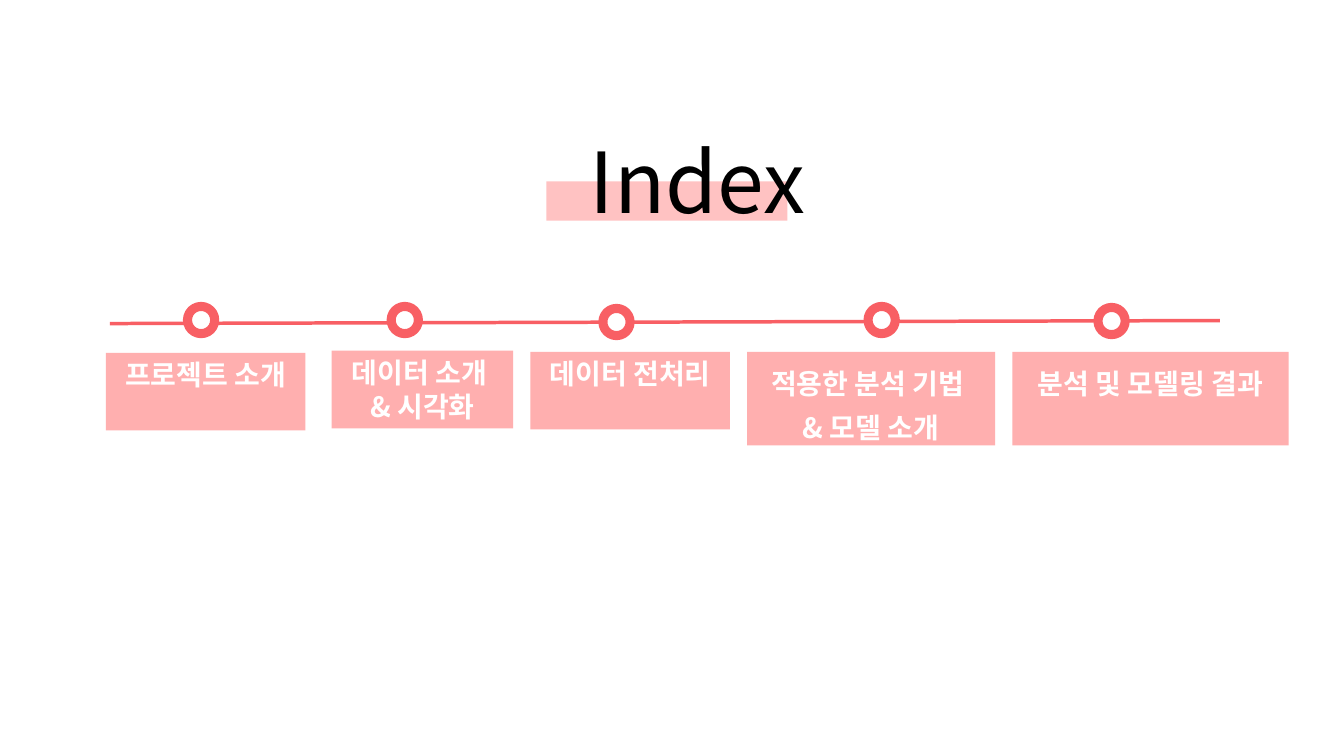
"""Build the index slide: a highlighted title above a five-stop timeline."""
from dataclasses import dataclass

import lxml.etree
import pptx
import pptx.dml.color
import pptx.enum.shapes
import pptx.enum.text
import pptx.oxml.ns
import pptx.util
from pptx.util import Inches


@dataclass(frozen=True)
class Theme:
    font: str = "Noto Sans CJK KR"
    black: str = "000000"
    white: str = "FFFFFF"
    highlight: str = "FF0000"
    accent: str = "F85F64"
    label: str = "FFAFAF"
    title_size: int = 60
    label_size: int = 20


theme = Theme()
qualified = pptx.oxml.ns.qn
rgb = pptx.dml.color.RGBColor.from_string
kinds = pptx.enum.shapes.MSO_SHAPE
alignments = pptx.enum.text.PP_ALIGN


def add_solid(kind, left, top, width, height, color):
    shape = slide.shapes.add_shape(kind, Inches(left), Inches(top), Inches(width), Inches(height))
    shape.shadow.inherit = False
    shape.fill.solid()
    shape.fill.fore_color.rgb = rgb(color)
    shape.line.fill.background()
    return shape


def write_text(shape, lines, size, color, bold=False, align=alignments.CENTER, spacing=1.0):
    frame = shape.text_frame
    frame.word_wrap = False
    frame.auto_size = pptx.enum.text.MSO_AUTO_SIZE.NONE
    frame.vertical_anchor = pptx.enum.text.MSO_ANCHOR.TOP
    for index, line in enumerate(lines):
        paragraph = frame.add_paragraph() if index else frame.paragraphs[0]
        paragraph.alignment = align
        paragraph.line_spacing = spacing
        paragraph.space_before = pptx.util.Pt(0)
        run = paragraph.add_run()
        run.text = line
        run.font.name = theme.font
        run.font.size = pptx.util.Pt(size)
        run.font.bold = bold
        run.font.color.rgb = rgb(color)
        east_asian = lxml.etree.SubElement(run.font._element, qualified("a:ea"))
        east_asian.set("typeface", theme.font)


presentation = pptx.Presentation()
presentation.slide_width = Inches(13.33)
presentation.slide_height = Inches(7.5)
slide = presentation.slides.add_slide(presentation.slide_layouts[5])

title = slide.shapes.title
title.left, title.top = Inches(5.75), Inches(1.23)
title.width, title.height = Inches(2.69), Inches(1.11)
write_text(title, ["Index"], theme.title_size, theme.black, align=alignments.LEFT)

highlight = add_solid(kinds.RECTANGLE, 5.42, 1.8, 2.39, 0.39, theme.highlight)
highlight_color = highlight.fill._xPr.find(".//" + qualified("a:srgbClr"))
lxml.etree.SubElement(highlight_color, qualified("a:alpha")).set("val", "24000")
title.element.addprevious(highlight.element)

timeline = slide.shapes.add_connector(
    pptx.enum.shapes.MSO_CONNECTOR.STRAIGHT,
    Inches(1.09), Inches(3.21), Inches(12.1), Inches(3.18),
)
timeline.line.color.rgb = rgb(theme.accent)
timeline.line.width = pptx.util.Pt(2.5)
lxml.etree.SubElement(timeline.element.spPr, qualified("a:effectLst"))

marker_size = 0.27
stops = [
    (1.86, 3.04, (1.05, 3.5, 1.98, 0.77), 1.0, ["프로젝트 소개"]),
    (3.88, 3.04, (3.29, 3.48, 1.8, 0.77), 1.0, ["데이터 소개 ", "& 시각화"]),
    (5.98, 3.06, (5.26, 3.49, 1.98, 0.77), 1.0, ["데이터 전처리"]),
    (8.61, 3.04, (7.41, 3.49, 2.46, 0.93), 1.3, ["적용한 분석 기법 ", "& 모델 소개"]),
    (10.89, 3.05, (10.04, 3.49, 2.74, 0.93), 1.3, ["분석 및 모델링 결과"]),
]
for marker_left, marker_top, label_box, spacing, lines in stops:
    marker = add_solid(kinds.OVAL, marker_left, marker_top, marker_size, marker_size, theme.white)
    marker.line.color.rgb = rgb(theme.accent)
    marker.line.width = pptx.util.Pt(6.5)
    label = add_solid(kinds.RECTANGLE, *label_box, theme.label)
    write_text(label, lines, theme.label_size, theme.white, bold=True, spacing=spacing)

presentation.save("out.pptx")
